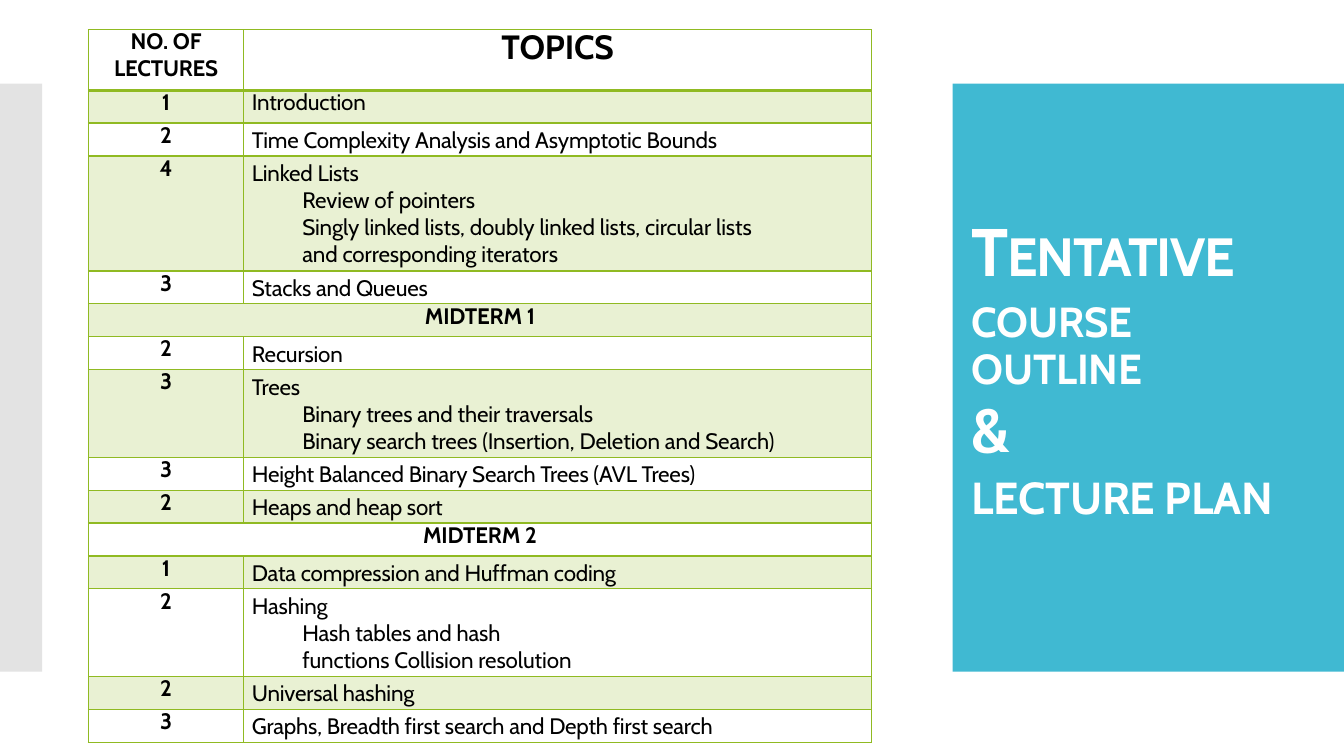
from lxml.etree import SubElement
from pptx import Presentation
from pptx.dml.color import RGBColor
from pptx.enum.shapes import MSO_SHAPE
from pptx.enum.text import PP_ALIGN
from pptx.oxml.ns import qn
from pptx.util import Pt

FONT = "Cabin"
WHITE, BLACK = "FFFFFF", "000000"
TEAL, GREY = "40B9D2", "E3E3E3"
GREEN, PALE_GREEN = "90BA22", "E9F1D3"

# Each entry: number of lectures, topic, subtopics; a midterm has no topic.
# "\v" is a line break inside a paragraph.
PLAN = [
    ("1", "Introduction", []),
    ("2", "Time Complexity Analysis and Asymptotic Bounds", []),
    ("4", "Linked Lists", [
        "Review of pointers",
        "Singly linked lists, doubly linked lists, circular lists\vand corresponding iterators"]),
    ("3", "Stacks and Queues", []),
    ("MIDTERM 1", None, []),
    ("2", "Recursion", []),
    ("3", "Trees", [
        "Binary trees and their traversals",
        "Binary search trees (Insertion, Deletion and Search)"]),
    ("3", "Height Balanced Binary Search Trees (AVL Trees)", []),
    ("2", "Heaps and heap sort", []),
    ("MIDTERM 2", None, []),
    ("1", "Data compression and Huffman coding", []),
    ("2", "Hashing", ["Hash tables and hash\vfunctions Collision resolution"]),
    ("2", "Universal hashing", []),
    ("3", "Graphs, Breadth first search and Depth first search", []),
]
PANELS = [(0, 30.2, GREY), (680.4, 279.6, TEAL)]
PANEL_TOP, PANEL_HEIGHT = 59.8, 420

TABLE_LEFT, TABLE_TOP = 63.2, 21.2
COLUMN_WIDTHS = [110.9, 448.5]
HEADER_HEIGHT, ROW_HEIGHT, LINE_HEIGHT = 43.2, 23.5, 19.55
TOPIC_INDENT, SUBTOPIC_INDENT = 5.8, 41.8


def color(value):
    return RGBColor.from_string(value)


def write(frame, text, first=False, size=16, ink=BLACK, bold=False, align=PP_ALIGN.LEFT,
          indent=0, line=None, before=0, spacing=-0.1, small_caps=False):
    """Write one paragraph; first fills the paragraph the frame already has."""
    para = frame.paragraphs[0] if first else frame.add_paragraph()
    para.text = text
    para.alignment = align
    para.space_before = Pt(before)
    if line:
        para.line_spacing = Pt(line)
    para._p.get_or_add_pPr().set("marL", str(Pt(indent)))
    for span in para.runs:
        span.font.name = FONT
        span.font.size = Pt(size)
        span.font.bold = bold
        span.font.color.rgb = color(ink)
        properties = span._r.get_or_add_rPr()
        properties.set("spc", str(round(spacing * 100)))
        if small_caps:
            properties.set("cap", "small")


def add_text_box(page, left, top, width, height):
    frame = page.shapes.add_textbox(Pt(left), Pt(top), Pt(width), Pt(height)).text_frame
    frame.word_wrap = True
    frame.margin_left = frame.margin_right = frame.margin_top = frame.margin_bottom = 0
    return frame


def style_cell(cell, fill, top_border, bottom_border):
    cell.margin_left = cell.margin_right = cell.margin_top = cell.margin_bottom = 0
    properties = cell._tc.get_or_add_tcPr()
    for side, width in (("L", 1), ("R", 1), ("T", top_border), ("B", bottom_border)):
        border = SubElement(properties, qn(f"a:ln{side}"), w=str(Pt(width)))
        SubElement(SubElement(border, qn("a:solidFill")), qn("a:srgbClr"), val=GREEN)
    cell.fill.solid()
    cell.fill.fore_color.rgb = color(fill)


def add_panels(page):
    for left, width, fill in PANELS:
        panel = page.shapes.add_shape(MSO_SHAPE.RECTANGLE, Pt(left), Pt(PANEL_TOP),
                                      Pt(width), Pt(PANEL_HEIGHT))
        panel.shadow.inherit = False
        panel.fill.solid()
        panel.fill.fore_color.rgb = color(fill)
        panel.line.fill.background()


def add_heading(page):
    title = add_text_box(page, 694, 149.5, 197, 60)
    write(title, "Tentative", first=True, size=48, ink=WHITE, bold=True,
          spacing=-1, small_caps=True)
    subtitle = add_text_box(page, 694, 213, 242, 130)
    write(subtitle, "COURSE\vOUTLINE", first=True, size=30, ink=WHITE, bold=True, line=34)
    write(subtitle, "&", size=44, ink=WHITE, bold=True, line=50.8, spacing=0)
    write(subtitle, "LECTURE PLAN", size=32, ink=WHITE, bold=True, before=3.7, spacing=-0.2)


def add_plan(page):
    line_counts = [sum(1 + text.count("\v") for text in subtopics) for _, _, subtopics in PLAN]
    heights = [HEADER_HEIGHT] + [ROW_HEIGHT + LINE_HEIGHT * count for count in line_counts]
    table = page.shapes.add_table(len(heights), len(COLUMN_WIDTHS), Pt(TABLE_LEFT), Pt(TABLE_TOP),
                                  Pt(sum(COLUMN_WIDTHS)), Pt(sum(heights))).table
    table.first_row = table.horz_banding = False
    for column, width in zip(table.columns, COLUMN_WIDTHS):
        column.width = Pt(width)
    for index, height in enumerate(heights):
        table.rows[index].height = Pt(height)
        for cell in table.rows[index].cells:
            style_cell(cell, PALE_GREEN if index % 2 else WHITE,
                       2.25 if index == 1 else 1, 2.25 if index == 0 else 1)

    centered = {"bold": True, "align": PP_ALIGN.CENTER}
    lectures_header, topics_header = table.rows[0].cells
    write(lectures_header.text_frame, "NO. OF", first=True, line=18.2, **centered)
    write(lectures_header.text_frame, "LECTURES", **centered)
    write(topics_header.text_frame, "TOPICS", first=True, size=24, line=27.4, **centered)

    for index, (lectures, topic, subtopics) in enumerate(PLAN, start=1):
        number_cell, topic_cell = table.rows[index].cells
        write(number_cell.text_frame, lectures, first=True, line=18.4, **centered)
        if topic is None:
            number_cell.merge(topic_cell)
            continue
        if index > 1:
            topic_cell.margin_top = Pt(2.8)
        write(topic_cell.text_frame, topic, first=True, indent=TOPIC_INDENT,
              line=18.4 if index == 1 else None)
        for subtopic in subtopics:
            write(topic_cell.text_frame, subtopic, indent=SUBTOPIC_INDENT, spacing=-0.05)


def main():
    deck = Presentation()
    deck.slide_width, deck.slide_height = Pt(960), Pt(540)
    page = deck.slides.add_slide(deck.slide_layouts[6])
    add_panels(page)
    add_heading(page)
    add_plan(page)
    deck.save("out.pptx")


if __name__ == "__main__":
    main()
